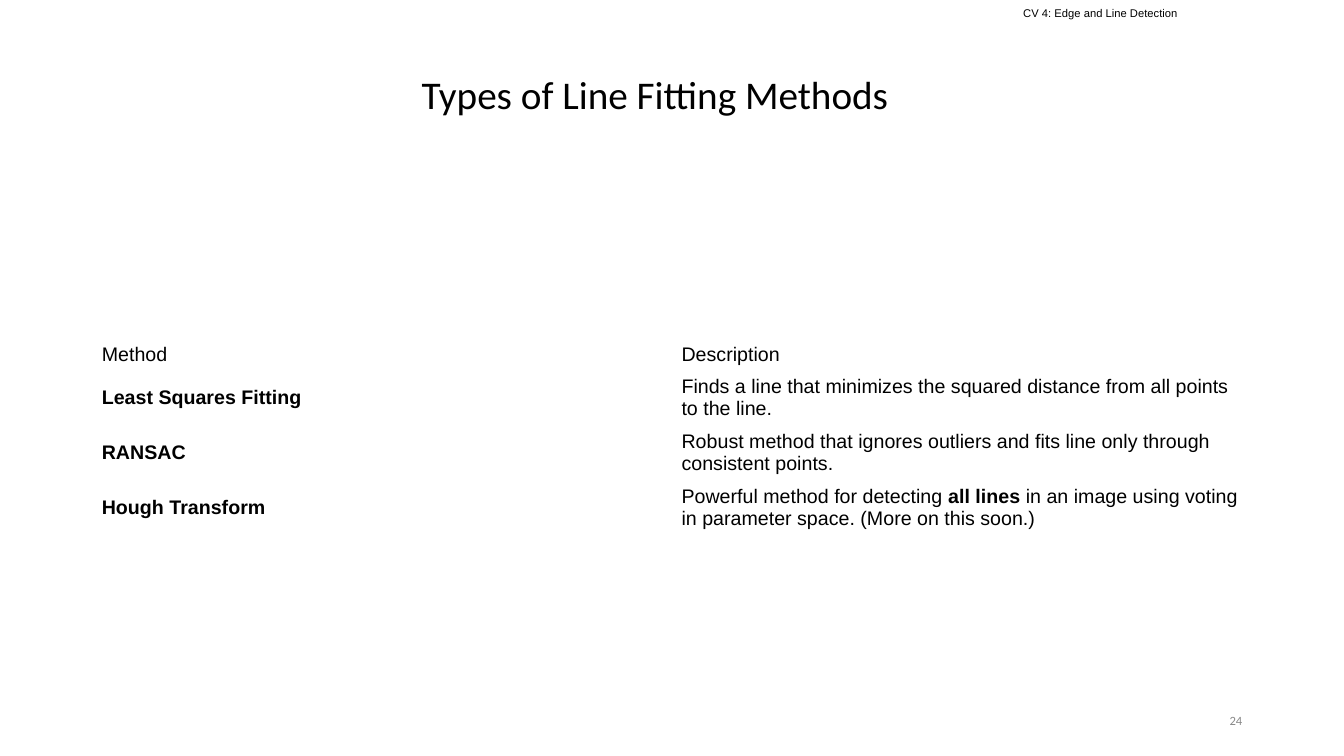
from pptx import Presentation
from pptx.dml.color import RGBColor
from pptx.enum.text import MSO_ANCHOR, PP_ALIGN
from pptx.util import Inches, Pt

BLACK = RGBColor(0x00, 0x00, 0x00)
GRAY = RGBColor(0x88, 0x88, 0x88)
LEFT, CENTER, RIGHT = PP_ALIGN.LEFT, PP_ALIGN.CENTER, PP_ALIGN.RIGHT
TOP, MIDDLE = MSO_ANCHOR.TOP, MSO_ANCHOR.MIDDLE
WIDTH, HEIGHT = 13.33, 7.5
PLAIN = "{2D5ABB26-0587-4C30-8999-92F81FD0307C}"

ROWS = [
    ([("Method", False)], [("Description", False)]),
    (
        [("Least Squares Fitting", True)],
        [("Finds a line that minimizes the squared distance from all points to the line.", False)],
    ),
    (
        [("RANSAC", True)],
        [("Robust method that ignores outliers and fits line only through consistent points.", False)],
    ),
    (
        [("Hough Transform", True)],
        [
            ("Powerful method for detecting ", False),
            ("all lines", True),
            (" in an image using voting in parameter space. (More on this soon.)", False),
        ],
    ),
]


class Page:
    def __init__(self, deck):
        self.slide = deck.slides.add_slide(deck.slide_layouts[6])
        self.wide, self.high = deck.slide_width, deck.slide_height

    def area(self, left, top, width, height):
        return (
            round(left * self.wide),
            round(top * self.high),
            round(width * self.wide),
            round(height * self.high),
        )

    def runs(self, para, parts, size, face="Arial", color=BLACK):
        for words, bold in parts:
            run = para.add_run()
            run.text = words
            run.font.size = Pt(size)
            run.font.name = face
            run.font.bold = bold
            run.font.color.rgb = color

    def text(self, area, words, size, face, color=BLACK, align=LEFT, anchor=MIDDLE, inset=0.05):
        frame = self.slide.shapes.add_textbox(*self.area(*area)).text_frame
        frame.word_wrap = True
        frame.vertical_anchor = anchor
        frame.margin_left = frame.margin_right = Inches(0.1)
        frame.margin_top = frame.margin_bottom = Inches(inset)
        para = frame.paragraphs[0]
        para.alignment = align
        self.runs(para, [(words, False)], size, face, color)
        return para

    def table(self, area, rows, highs, size):
        table = self.slide.shapes.add_table(len(rows), len(rows[0]), *self.area(*area)).table
        table.first_row = table.horz_banding = False
        table._tbl.tblPr[0].text = PLAIN
        for r, (row, high) in enumerate(zip(rows, highs)):
            table.rows[r].height = round(high * self.high)
            for c, parts in enumerate(row):
                cell = table.cell(r, c)
                cell.fill.background()
                cell.vertical_anchor = MIDDLE
                cell.margin_left = cell.margin_right = Inches(0.09)
                cell.margin_top = cell.margin_bottom = Inches(0.04)
                self.runs(cell.text_frame.paragraphs[0], parts, size)


def main():
    deck = Presentation()
    deck.slide_width, deck.slide_height = Inches(WIDTH), Inches(HEIGHT)
    page = Page(deck)
    page.text(
        (10.05 / WIDTH, 0, 3.28 / WIDTH, 0.34 / HEIGHT),
        "CV 4: Edge and Line Detection", 8, "Arial", anchor=TOP, inset=0.1,
    )
    title = page.text(
        (0.92 / WIDTH, 0.4 / HEIGHT, 11.15 / WIDTH, 1.12 / HEIGHT),
        "Types of Line Fitting Methods", 28, "Calibri", align=CENTER,
    )
    title.line_spacing = 0.9
    page.text(
        (9.42 / WIDTH, 6.95 / HEIGHT, 3 / WIDTH, 0.4 / HEIGHT),
        "24", 9, "Calibri", color=GRAY, align=RIGHT,
    )
    highs = [0.31 / HEIGHT] + [0.54 / HEIGHT] * 3
    page.table((0.92 / WIDTH, 3.36 / HEIGHT, 11.5 / WIDTH, sum(highs)), ROWS, highs, 14)
    deck.save("out.pptx")


if __name__ == "__main__":
    main()
